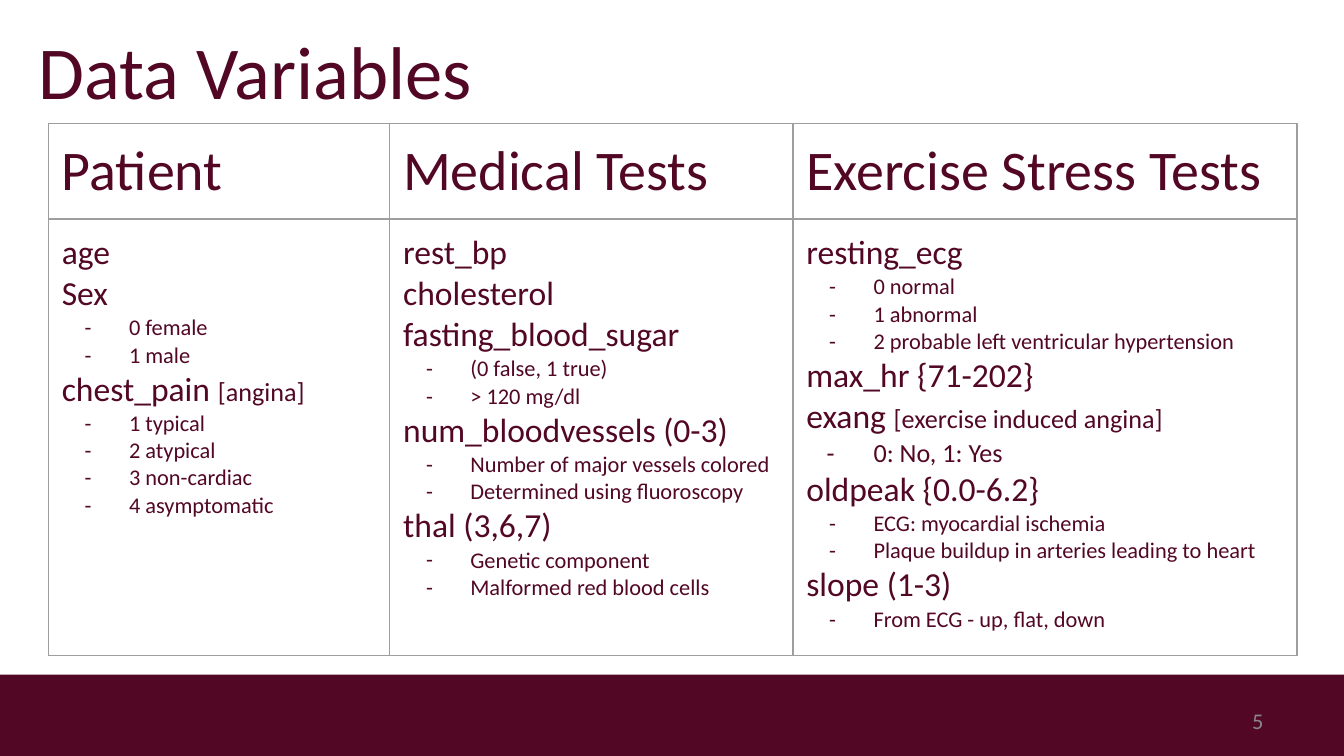
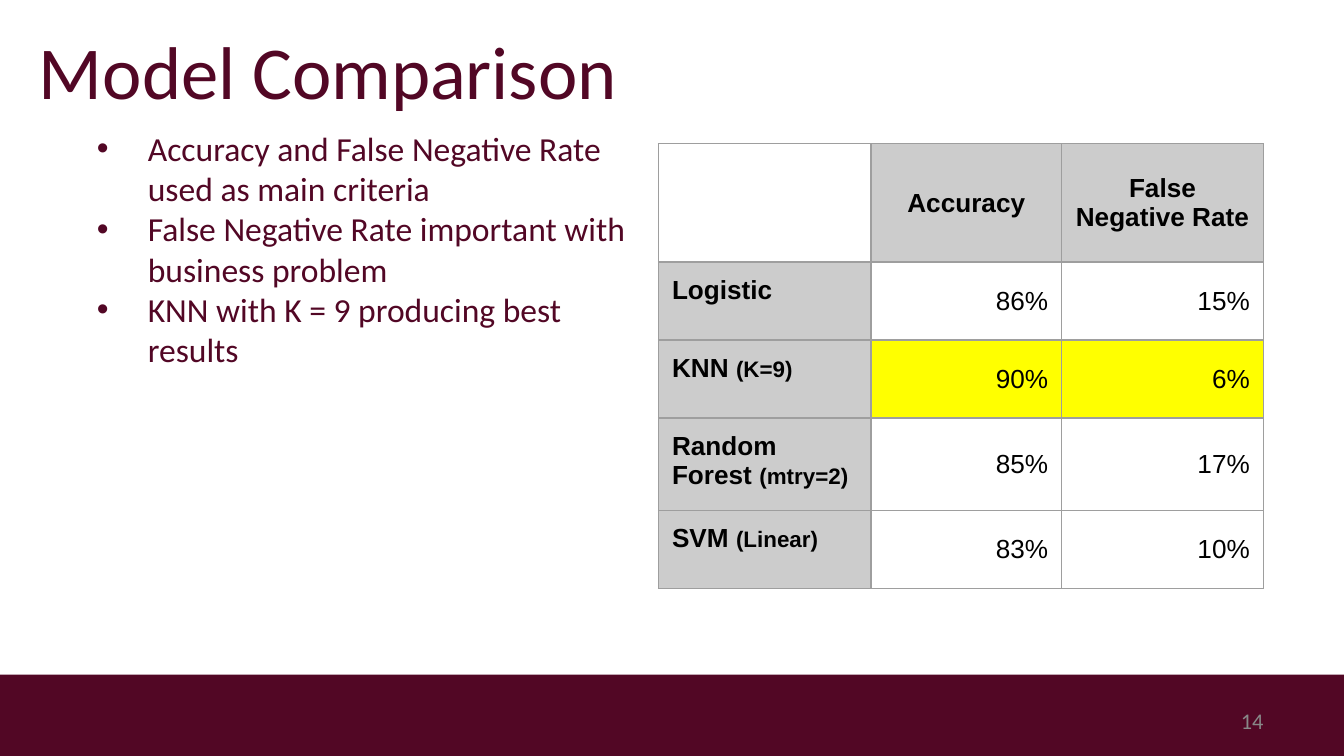
from lxml.etree import SubElement as Sub
from pptx import Presentation
from pptx.dml.color import RGBColor as RGB
from pptx.enum.shapes import MSO_SHAPE as SHAPE
from pptx.enum.text import MSO_ANCHOR as ANCHOR, MSO_AUTO_SIZE as AUTO, PP_ALIGN as ALIGN
from pptx.oxml.ns import qn
from pptx.util import Inches, Pt

WIDE = Inches(10)
HIGH = WIDE * 9 // 16
WINE, GREY, EDGE = "520725", "888888", "9E9E9E"
HEAD, MARK, BLACK = "CCCCCC", "FFFF00", "000000"
SANS, ARIAL = "Calibri", "Arial"

GROUPS = {
    "Patient": [
        ("age", "", [], 12),
        ("Sex", "", ["0 female", "1 male"], 12),
        ("chest_pain ", "[angina]",
         ["1 typical", "2 atypical", "3 non-cardiac", "4 asymptomatic"], 12),
    ],
    "Medical Tests": [
        ("rest_bp", "", [], 12),
        ("cholesterol", "", [], 12),
        ("fasting_blood_sugar", "", ["(0 false, 1 true)", "> 120 mg/dl"], 12),
        ("num_bloodvessels (0-3)", "",
         ["Number of major vessels colored", "Determined using fluoroscopy"], 12),
        ("thal (3,6,7)", "", ["Genetic component", "Malformed red blood cells"], 12),
    ],
    "Exercise Stress Tests": [
        ("resting_ecg", "",
         ["0 normal", "1 abnormal", "2 probable left ventricular hypertension"], 12),
        ("max_hr {71-202}", "", [], 12),
        ("exang ", "[exercise induced angina]", ["0: No, 1: Yes"], 14),
        ("oldpeak {0.0-6.2}", "",
         ["ECG: myocardial ischemia", "Plaque buildup in arteries leading to heart"], 12),
        ("slope (1-3)", "", ["From ECG - up, flat, down"], 12),
    ],
}
POINTS = [
    "Accuracy and False Negative Rate used as main criteria",
    "False Negative Rate important with business problem",
    "KNN with K = 9 producing best results",
]
RATES = ["Accuracy", "False Negative Rate"]
MODELS = [
    ("Logistic", "", "86%", "15%"),
    ("KNN ", "(K=9)", "90%", "6%"),
    ("Random Forest ", "(mtry=2)", "85%", "17%"),
    ("SVM ", "(Linear)", "83%", "10%"),
]
BEST = "KNN "


def color(code):
    return RGB.from_string(code)


def style(run, size, code=WINE, face=SANS, bold=False):
    font = run.font
    font.size, font.name, font.bold = Pt(size), face, bold
    font.color.rgb = color(code)


def write(para, parts, code=WINE, face=SANS, bold=False):
    for text, size in parts:
        if text:
            run = para.add_run()
            run.text = text
            style(run, size, code, face, bold)


def bullet(para, char, hang, face):
    props = para._p.get_or_add_pPr()
    props.set("marL", str(Inches(0.5)))
    props.set("indent", str(Inches(-hang)))
    tint = Sub(props, qn("a:buClr"))
    Sub(tint, qn("a:srgbClr"), val=WINE)
    Sub(props, qn("a:buFont"), typeface=face)
    Sub(props, qn("a:buChar"), char=char)


def place(shape, left, top, width, height):
    shape.left, shape.top = Inches(left), Inches(top)
    shape.width, shape.height = Inches(width), Inches(height)


def border(cell):
    props = cell._tc.get_or_add_tcPr()
    for side in ("lnL", "lnR", "lnT", "lnB"):
        line = Sub(props, qn("a:" + side), w=str(Pt(0.75)))
        fill = Sub(line, qn("a:solidFill"))
        Sub(fill, qn("a:srgbClr"), val=EDGE)


def grid(slide, left, top, cols, rows):
    frame = slide.shapes.add_table(
        len(rows), len(cols), Inches(left), Inches(top),
        Inches(sum(cols)), Inches(sum(rows)))
    table = frame.table
    table.first_row = table.horz_banding = False
    for col, width in zip(table.columns, cols):
        col.width = Inches(width)
    for row, height in zip(table.rows, rows):
        row.height = Inches(height)
    for cell in table.iter_cells():
        cell.margin_left = cell.margin_right = Inches(0.1)
        cell.margin_top = cell.margin_bottom = Inches(0.1)
        border(cell)
        cell.fill.background()
    return table


def paint(cell, code):
    cell.fill.solid()
    cell.fill.fore_color.rgb = color(code)


def start(deck, layout, title, number):
    slide = deck.slides.add_slide(deck.slide_layouts[layout])
    head = slide.shapes.title
    place(head, 0.19, 0.12, 9, 0.8)
    frame = head.text_frame
    frame.text = title
    frame.auto_size = AUTO.NONE
    frame.vertical_anchor = ANCHOR.MIDDLE
    frame.paragraphs[0].alignment = ALIGN.LEFT
    style(frame.paragraphs[0].runs[0], 40)
    box = slide.shapes.add_textbox(Inches(7.17), Inches(5.21), Inches(2.33), Inches(0.3))
    frame = box.text_frame
    frame.word_wrap = True
    frame.vertical_anchor = ANCHOR.MIDDLE
    frame.text = str(number)
    frame.paragraphs[0].alignment = ALIGN.RIGHT
    style(frame.paragraphs[0].runs[0], 12, GREY)
    return slide


def band(deck, slide):
    top = Inches(5.02)
    bar = slide.shapes.add_shape(SHAPE.RECTANGLE, 0, top, WIDE, HIGH - top)
    bar.shadow.inherit = False
    bar.fill.solid()
    bar.fill.fore_color.rgb = color(WINE)
    bar.line.fill.background()
    deck.slide_master.shapes.element.append(bar.element)


def listing(frame, groups):
    lines = []
    for name, note, items, size in groups:
        lines.append(([(name, 18), (note, 14)], 0))
        hang = 0.33 if size == 12 else 0.35
        lines += [([(item, size)], hang) for item in items]
    for i, (parts, hang) in enumerate(lines):
        para = frame.add_paragraph() if i else frame.paragraphs[0]
        write(para, parts)
        if hang:
            bullet(para, "-", hang, SANS)


def variables(deck):
    slide = start(deck, 5, "Data Variables", 5)
    band(deck, slide)
    table = grid(slide, 0.36, 0.92, [2.54, 3, 3.75], [0.71, 3.25])
    for col, (name, groups) in enumerate(GROUPS.items()):
        para = table.cell(0, col).text_frame.paragraphs[0]
        para.space_before, para.space_after = Pt(10), Pt(6)
        write(para, [(name, 30)])
        listing(table.cell(1, col).text_frame, groups)


def models(deck):
    slide = start(deck, 1, "Model Comparison", 14)
    body = slide.placeholders[1]
    place(body, 0.5, 0.9, 4.4, 3.49)
    frame = body.text_frame
    frame.text = "\n".join(POINTS)
    frame.auto_size = AUTO.NONE
    for i, para in enumerate(frame.paragraphs):
        para.space_before = Pt(0 if i else 10)
        bullet(para, "•", 0.38, ARIAL)
        style(para.runs[0], 18)

    table = grid(slide, 4.9, 1.07, [1.58, 1.42, 1.5], [0.88, 0.58, 0.58, 0.69, 0.58])

    def fill(row, col, parts, align, bold):
        cell = table.cell(row, col)
        para = cell.text_frame.paragraphs[0]
        para.alignment = align
        write(para, parts, BLACK, ARIAL, bold)
        if col:
            cell.vertical_anchor = ANCHOR.MIDDLE
        if bold:
            paint(cell, HEAD)
        return cell

    for col, name in enumerate(RATES, 1):
        fill(0, col, [(name, 14)], ALIGN.CENTER, True)
    for row, (name, note, *rates) in enumerate(MODELS, 1):
        fill(row, 0, [(name, 14), (note, 12)], ALIGN.LEFT, True)
        for col, rate in enumerate(rates, 1):
            cell = fill(row, col, [(rate, 14)], ALIGN.RIGHT, False)
            if name == BEST:
                paint(cell, MARK)


def main():
    deck = Presentation()
    deck.slide_width, deck.slide_height = WIDE, HIGH
    variables(deck)
    models(deck)
    deck.save("out.pptx")


if __name__ == "__main__":
    main()
